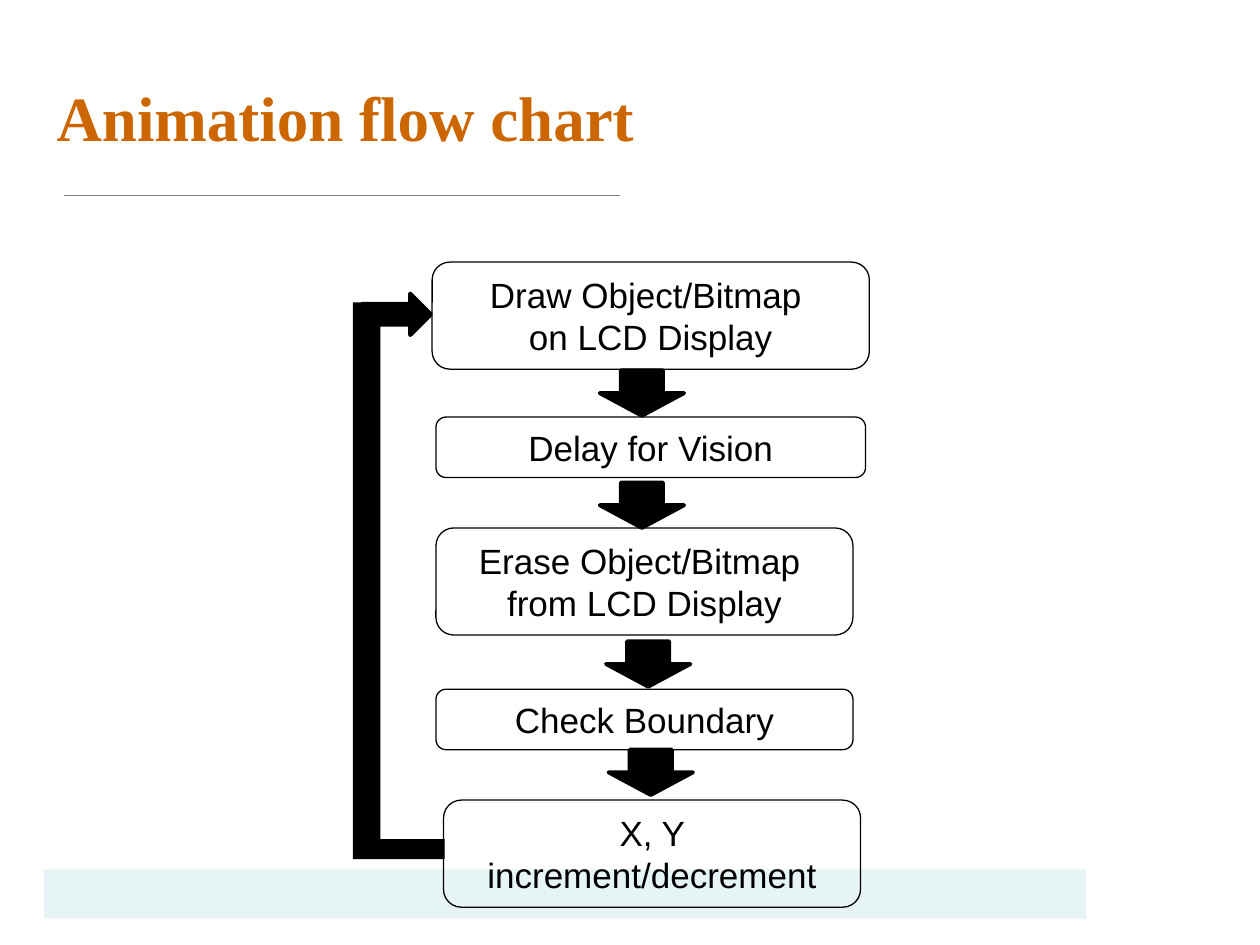
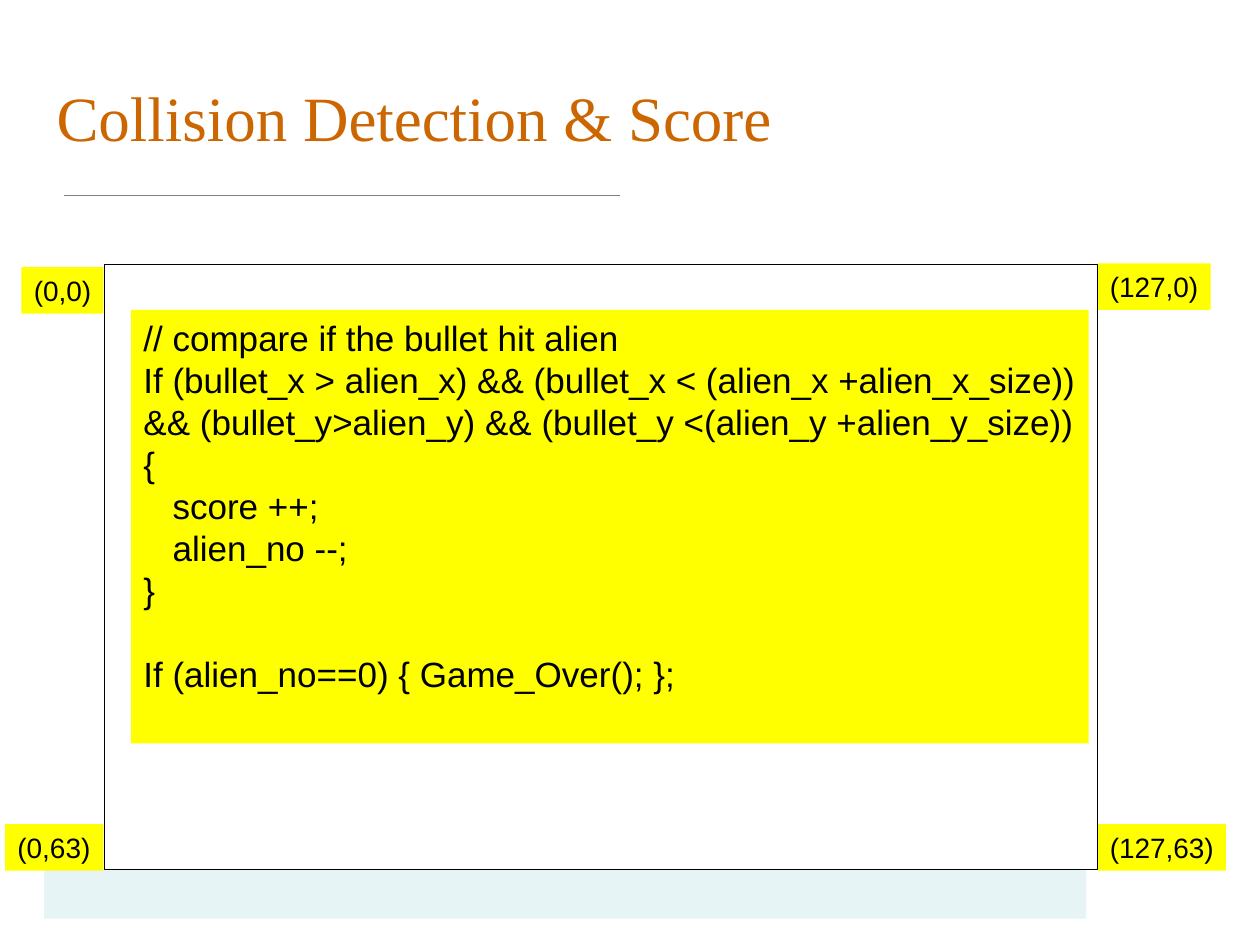
from pptx import Presentation
from pptx.dml.color import RGBColor as Rgb
from pptx.enum.shapes import MSO_CONNECTOR as Conn, MSO_SHAPE as Form
from pptx.enum.text import MSO_ANCHOR as Anchor, PP_ALIGN as Align
from pptx.oxml.ns import qn
from pptx.util import Inches, Pt
from lxml.etree import SubElement

WIDE, HIGH = Inches(10), Inches(7.5)
COLS, ROWS = 100, 75
INK = {"title": "CC6600", "rule": "808080", "band": "E7F4F5",
       "black": "000000", "note": "FFFF00"}
SANS, SERIF = "Arial", "Times New Roman"
LEAD = 1.2
TALL, LOW = 8.5, 4.8

STEPS = [
    (34.3, 20.8, 34.7, TALL, ["Draw Object/Bitmap ", "on LCD Display"]),
    (34.6, 33.1, 34.1, LOW, ["Delay for Vision"]),
    (34.6, 41.9, 33.1, TALL, ["Erase Object/Bitmap ", "from LCD Display"]),
    (34.6, 54.7, 33.1, LOW, ["Check Boundary"]),
    (35.2, 63.5, 33.1, TALL, ["X, Y increment/decrement"]),
]
DROPS = [(47.6, 29.4), (47.6, 38.3), (48.1, 50.9), (48.3, 59.5)]
BARS = [(28, 24, 2.2, 42.6), (28, 66.6, 7.3, 1.6)]

FRAME = (8.3, 21, 78.8, 48)
MARKS = [
    (1.7, 21.2, 6.5, "(0,0)"),
    (0.4, 65.4, 7.8, "(0,63)"),
    (87.1, 65.4, 10.2, "(127,63)"),
    (87.1, 20.9, 9, "(127,0)"),
]
CODE = """// compare if the bullet hit alien
If (bullet_x > alien_x) && (bullet_x < (alien_x +alien_x_size))
&& (bullet_y>alien_y) && (bullet_y <(alien_y +alien_y_size))
{
   score ++;
   alien_no --;
}""".split("\n")
LAST = "If (alien_no==0) { Game_Over(); };"


def place(x, y, w, h):
    return (round(WIDE * x / COLS), round(HIGH * y / ROWS),
            round(WIDE * w / COLS), round(HIGH * h / ROWS))


def shape(slide, form, spot, fill=None, line=None, width=0.75):
    item = slide.shapes.add_shape(form, *place(*spot))
    item.shadow.inherit = False
    if fill:
        item.fill.solid()
        item.fill.fore_color.rgb = Rgb.from_string(INK[fill])
    else:
        item.fill.background()
    if line:
        item.line.color.rgb = Rgb.from_string(INK[line])
        item.line.width = Pt(width)
    else:
        item.line.fill.background()
    return item


def write(item, lines, size=20, font=SANS, ink="black", bold=False,
          align=Align.LEFT, anchor=Anchor.MIDDLE, wrap=True):
    frame = item.text_frame
    frame.word_wrap = wrap
    frame.vertical_anchor = anchor
    for i, text in enumerate(lines):
        para = frame.add_paragraph() if i else frame.paragraphs[0]
        para.alignment = align
        para.line_spacing = Pt(size * LEAD)
        run = para.add_run()
        run.text = text
        run.font.size = Pt(size)
        run.font.name = font
        run.font.bold = bold
        run.font.color.rgb = Rgb.from_string(INK[ink])
    return frame


def rule(slide, x, y, w):
    left, top, span, _ = place(x, y, w, 0)
    line = slide.shapes.add_connector(Conn.STRAIGHT, left, top, left + span, top)
    line.line.color.rgb = Rgb.from_string(INK["rule"])
    line.line.width = Pt(0.75)
    SubElement(line.element.spPr, qn("a:effectLst"))


def page(deck, title, bold=False):
    slide = deck.slides.add_slide(deck.slide_layouts[6])
    shape(slide, Form.RECTANGLE, (3.5, 69, 82.7, 3.9), "band")
    rule(slide, 5.1, 15.5, 44.1)
    box = slide.shapes.add_textbox(*place(3.5, 3, 92.9, 12.5))
    write(box, [title], 36, SERIF, "title", bold)
    return slide


def arrow(slide, form, spot):
    shape(slide, form, spot, "black", "black", 2.25)


def flow(deck):
    slide = page(deck, "Animation flow chart", bold=True)
    for *spot, lines in STEPS:
        step = shape(slide, Form.ROUNDED_RECTANGLE, spot, line="black")
        write(step, lines, align=Align.CENTER)
    for x, y in DROPS:
        arrow(slide, Form.DOWN_ARROW, (x, y, 6.7, 3.6))
    arrow(slide, Form.RIGHT_ARROW, (28.7, 23.3, 5.5, 3.3))
    for bar in BARS:
        shape(slide, Form.RECTANGLE, bar, "black")


def score(deck):
    slide = page(deck, "Collision Detection & Score")
    for x, y, w, text in MARKS:
        mark = shape(slide, Form.RECTANGLE, (x, y, w, 3.7), "note")
        write(mark, [text], 16, wrap=False)
    shape(slide, Form.RECTANGLE, FRAME, line="black")
    box = shape(slide, Form.RECTANGLE, (10.4, 24.6, 76, 34.4), "note")
    frame = write(box, CODE + [LAST], anchor=Anchor.TOP, wrap=False)
    frame.paragraphs[-1].space_before = Pt(20 * LEAD)


def main():
    deck = Presentation()
    deck.slide_width, deck.slide_height = WIDE, HIGH
    flow(deck)
    score(deck)
    deck.save("out.pptx")


if __name__ == "__main__":
    main()
